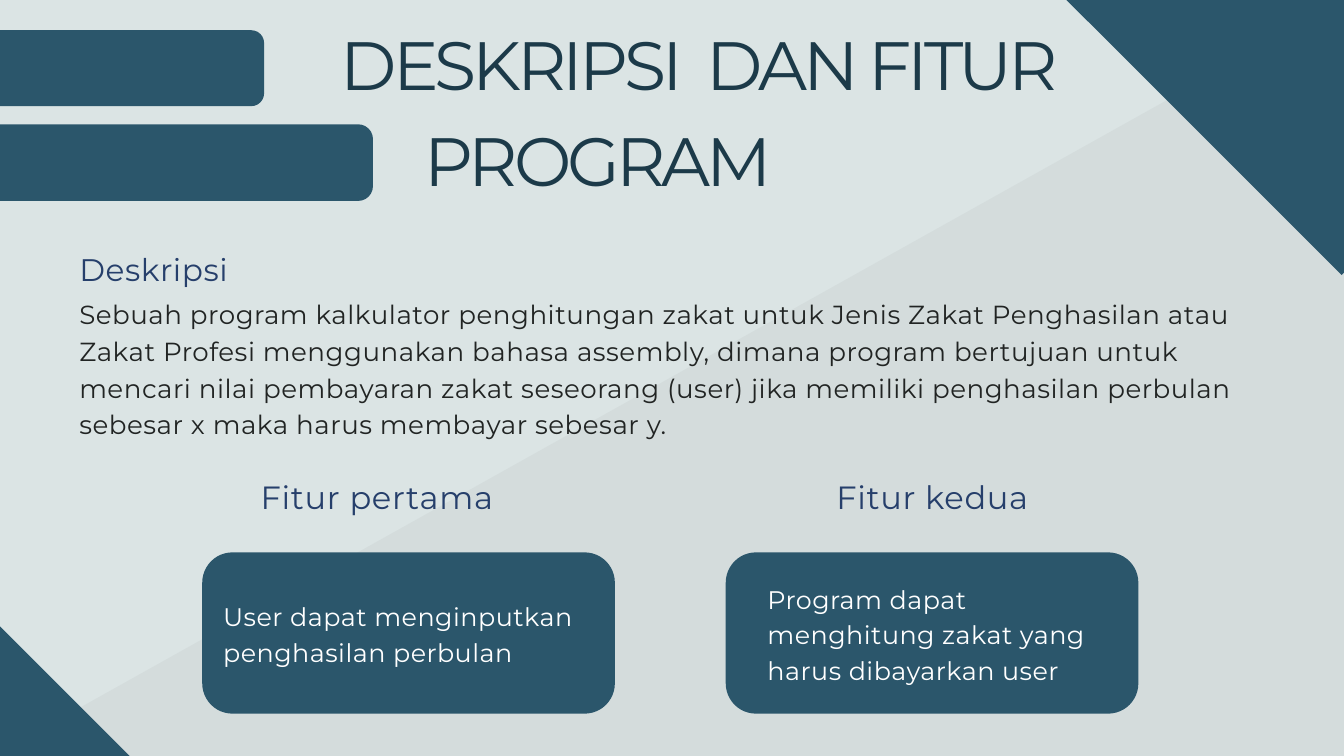
from typing import NamedTuple

from lxml import etree
from pptx import Presentation
from pptx.dml.color import RGBColor
from pptx.enum import shapes, text
from pptx.oxml import ns
from pptx.util import Inches, Pt

FONT = "Montserrat"
PALE = RGBColor(0xDB, 0xE4, 0xE4)
GREY = RGBColor(0x54, 0x54, 0x54)
TEAL = RGBColor(0x2B, 0x56, 0x6B)
NAVY = RGBColor(0x1C, 0x3A, 0x49)
BLUE = RGBColor(0x26, 0x3F, 0x6B)
INK = RGBColor(0x21, 0x24, 0x23)
WHITE = RGBColor(0xFF, 0xFF, 0xFF)
LEFT, CENTER = text.PP_ALIGN.LEFT, text.PP_ALIGN.CENTER


class Area(NamedTuple):
    left: float
    top: float
    width: float
    height: float


class Style(NamedTuple):
    size: float
    leading: float
    tracking: float
    color: RGBColor


class Panel(NamedTuple):
    area: Area
    rotation: float = 0
    radius: float = 0
    color: RGBColor = TEAL
    opacity: int = 100


class Label(NamedTuple):
    wording: str
    area: Area
    style: Style
    align: text.PP_ALIGN = LEFT


TITLE = Style(73.2, 71.7, -4.3, NAVY)
HEADING = Style(33.4, 63.5, 0.7, BLUE)
FEATURE = Style(34.4, 65.4, 0.7, BLUE)
BODY = Style(28, 39.2, 0.6, INK)
CARD = Style(27.2, 38.1, 0.5, WHITE)

PANELS = [
    Panel(Area(-1.22, 4.76, 28.2, 10.48), rotation=330.8, color=GREY, opacity=5),
    Panel(Area(-2.89, 9.89, 5.79, 2.72), rotation=45),
    Panel(Area(16.67, -1.93, 5.79, 4.66), rotation=45),
    Panel(Area(-2.48, 0.45, 6.41, 1.13), radius=0.19),
    Panel(Area(-1.63, 1.85, 7.18, 1.14), radius=0.22),
    *(Panel(Area(left, 8.22, 6.14, 2.4), radius=0.45) for left in (3.01, 10.8)),
]

LABELS = [
    Label("DESKRIPSI  DAN FITUR", Area(3.34, 0.55, 14.14, 1.05), TITLE, CENTER),
    Label("PROGRAM", Area(4.61, 1.98, 8.58, 1.05), TITLE, CENTER),
    Label("Deskripsi", Area(1.18, 3.4, 5.39, 0.79), HEADING),
    Label(
        "Sebuah program kalkulator penghitungan zakat untuk Jenis Zakat Penghasilan atau "
        "Zakat Profesi menggunakan bahasa assembly, dimana program bertujuan untuk "
        "mencari nilai pembayaran zakat seseorang (user) jika memiliki penghasilan perbulan "
        "sebesar x maka harus membayar sebesar y.",
        Area(1.18, 4.37, 17.75, 2.14), BODY),
    Label("Fitur pertama", Area(3.88, 6.77, 3.83, 0.82), FEATURE),
    Label("Fitur kedua", Area(11.96, 6.77, 3.83, 0.82), FEATURE, CENTER),
    Label("User dapat menginputkan penghasilan perbulan", Area(3.32, 8.87, 5.52, 1.03), CARD),
    Label("Program dapat menghitung zakat yang harus dibayarkan user",
          Area(11.42, 8.61, 5.52, 1.56), CARD),
]


def draw_panel(page, panel: Panel) -> None:
    kind = shapes.MSO_SHAPE.ROUNDED_RECTANGLE if panel.radius else shapes.MSO_SHAPE.RECTANGLE
    shape = page.shapes.add_shape(kind, *map(Inches, panel.area))
    if panel.radius:
        shape.adjustments[0] = panel.radius / min(panel.area.width, panel.area.height)
    shape.rotation = panel.rotation
    shape.shadow.inherit = False
    shape.line.fill.background()
    shape.fill.solid()
    shape.fill.fore_color.rgb = panel.color
    if panel.opacity < 100:
        color = shape._element.spPr.find(ns.qn("a:solidFill"))[0]
        etree.SubElement(color, ns.qn("a:alpha"), val=str(panel.opacity * 1000))


def draw_label(page, label: Label) -> None:
    box = page.shapes.add_textbox(*map(Inches, label.area))
    frame = box.text_frame
    frame.word_wrap = True
    frame.auto_size = text.MSO_AUTO_SIZE.SHAPE_TO_FIT_TEXT
    frame.margin_left = frame.margin_top = frame.margin_right = frame.margin_bottom = 0
    para = frame.paragraphs[0]
    para.alignment = label.align
    para.line_spacing = Pt(label.style.leading)
    para.font.name = FONT
    para.font.size = Pt(label.style.size)
    para.font.color.rgb = label.style.color
    span = para.add_run()
    span.text = label.wording
    span._r.get_or_add_rPr().set("spc", str(round(label.style.tracking * 100)))


def main() -> None:
    deck = Presentation()
    deck.slide_width, deck.slide_height = Inches(20), Inches(11.25)
    page = deck.slides.add_slide(deck.slide_layouts[6])
    page.background.fill.solid()
    page.background.fill.fore_color.rgb = PALE
    for panel in PANELS:
        draw_panel(page, panel)
    for label in LABELS:
        draw_label(page, label)
    deck.save("out.pptx")


if __name__ == "__main__":
    main()
